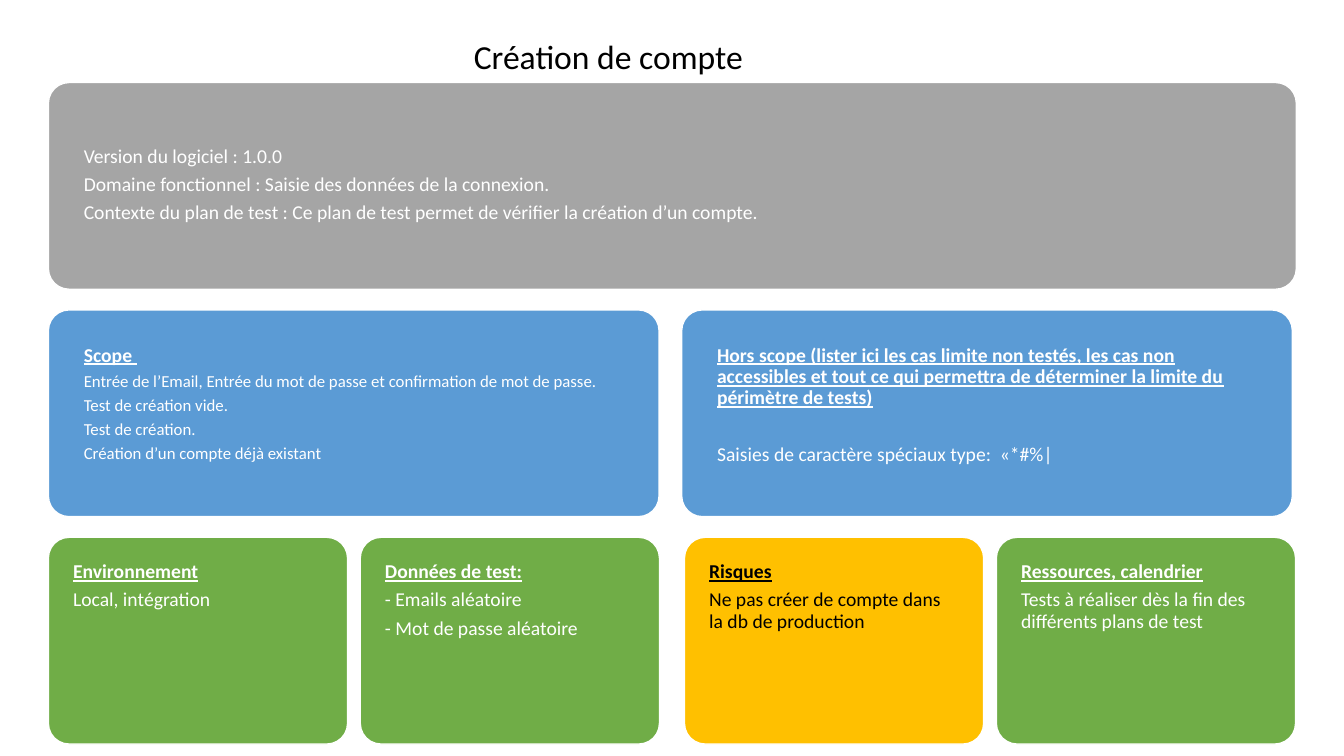
"""Build the one-page test plan for account creation."""
from pptx import Presentation
from pptx.dml.color import RGBColor
from pptx.enum.shapes import MSO_SHAPE
from pptx.enum.text import MSO_ANCHOR, PP_ALIGN
from pptx.util import Cm, Pt

ROUNDED = MSO_SHAPE.ROUNDED_RECTANGLE
TOP = MSO_ANCHOR.TOP
LEFT, CENTER = PP_ALIGN.LEFT, PP_ALIGN.CENTER

FONT = "Calibri"
WHITE, BLACK = "FFFFFF", "000000"
GREY, BLUE, GREEN, AMBER = "A5A5A5", "5B9BD5", "70AD47", "FFC000"

LEFT_EDGE, RIGHT_HALF = 1.22, 17.25
FIRST_ROW, ROW_PITCH, CARD_HEIGHT = 2.08, 5.73, 5.21
FULL, HALF, QUARTER, QUARTER_PITCH = 31.45, 15.39, 7.54, 7.86
WIDE_INSET, NARROW_INSET = 0.74, 0.47
BLANK_LINE = 20.3


def color(hex_text):
    return RGBColor.from_string(hex_text)


def style(para, size, ink, align=LEFT, heading=False):
    para.alignment = align
    para.line_spacing = 0.9
    para.space_after = Pt(round(size * 0.35, 1))
    for span in para.runs:
        span.font.name = FONT
        span.font.size = Pt(size)
        span.font.bold = heading
        span.font.underline = heading
        span.font.color.rgb = color(ink)


deck = Presentation()
deck.slide_width, deck.slide_height = Cm(33.87), Cm(19.05)
page = deck.slides.add_slide(deck.slide_layouts[6])

# row, left, width, inset, fill, ink, body size, gap above body, heading, body
cards = [
    (0, LEFT_EDGE, FULL, WIDE_INSET, GREY, WHITE, 14, 0, None, [
        "Version du logiciel : 1.0.0",
        "Domaine fonctionnel : Saisie des données de la connexion.",
        "Contexte du plan de test : Ce plan de test permet de vérifier la création d’un compte."]),
    (1, LEFT_EDGE, HALF, WIDE_INSET, BLUE, WHITE, 12, 0, "Scope ", [
        "Entrée de l’Email, Entrée du mot de passe et confirmation de mot de passe.",
        "Test de création vide.",
        "Test de création.",
        "Création d’un compte déjà existant"]),
    (1, 17.18, HALF, WIDE_INSET, BLUE, WHITE, 14, BLANK_LINE,
     "Hors scope (lister ici les cas limite non testés, les cas non accessibles "
     "et tout ce qui permettra de déterminer la limite du périmètre de tests)",
     ["Saisies de caractère spéciaux type:  «*#%|"]),
    (2, LEFT_EDGE, QUARTER, NARROW_INSET, GREEN, WHITE, 14, 0,
     "Environnement", ["Local, intégration"]),
    (2, LEFT_EDGE + QUARTER_PITCH, QUARTER, NARROW_INSET, GREEN, WHITE, 14, 0,
     "Données de test:", ["- Emails aléatoire", "- Mot de passe aléatoire"]),
    (2, RIGHT_HALF, QUARTER, NARROW_INSET, AMBER, BLACK, 14, 0,
     "Risques", ["Ne pas créer de compte dans la db de production"]),
    (2, RIGHT_HALF + QUARTER_PITCH, QUARTER, NARROW_INSET, GREEN, WHITE, 14, 0,
     "Ressources, calendrier", ["Tests à réaliser dès la fin des différents plans de test"]),
]

for row, left, width, inset, fill, ink, size, gap, heading, body in cards:
    card = page.shapes.add_shape(ROUNDED, Cm(left), Cm(FIRST_ROW + row * ROW_PITCH),
                                 Cm(width), Cm(CARD_HEIGHT))
    card.adjustments[0] = 0.1
    card.shadow.inherit = False
    card.fill.solid()
    card.fill.fore_color.rgb = color(fill)
    card.line.color.rgb = color(WHITE)
    card.line.width = Pt(1)

    frame = card.text_frame
    frame.word_wrap = True
    frame.vertical_anchor = TOP
    frame.margin_left = frame.margin_right = frame.margin_bottom = Cm(inset)
    frame.margin_top = Cm(inset if heading else 1.45)
    frame.text = "\n".join([heading] + body if heading else body)
    for index, para in enumerate(frame.paragraphs):
        if heading and index == 0:
            style(para, 14, ink, heading=True)
        else:
            style(para, size, ink)
    if gap:
        frame.paragraphs[1].space_before = Pt(gap)

title = page.shapes.add_textbox(Cm(6.86), Cm(0.89), Cm(16.94), Cm(1.17))
title.text_frame.word_wrap = True
title.text_frame.text = "Création de compte"
style(title.text_frame.paragraphs[0], 24, BLACK, CENTER)

deck.save("out.pptx")
